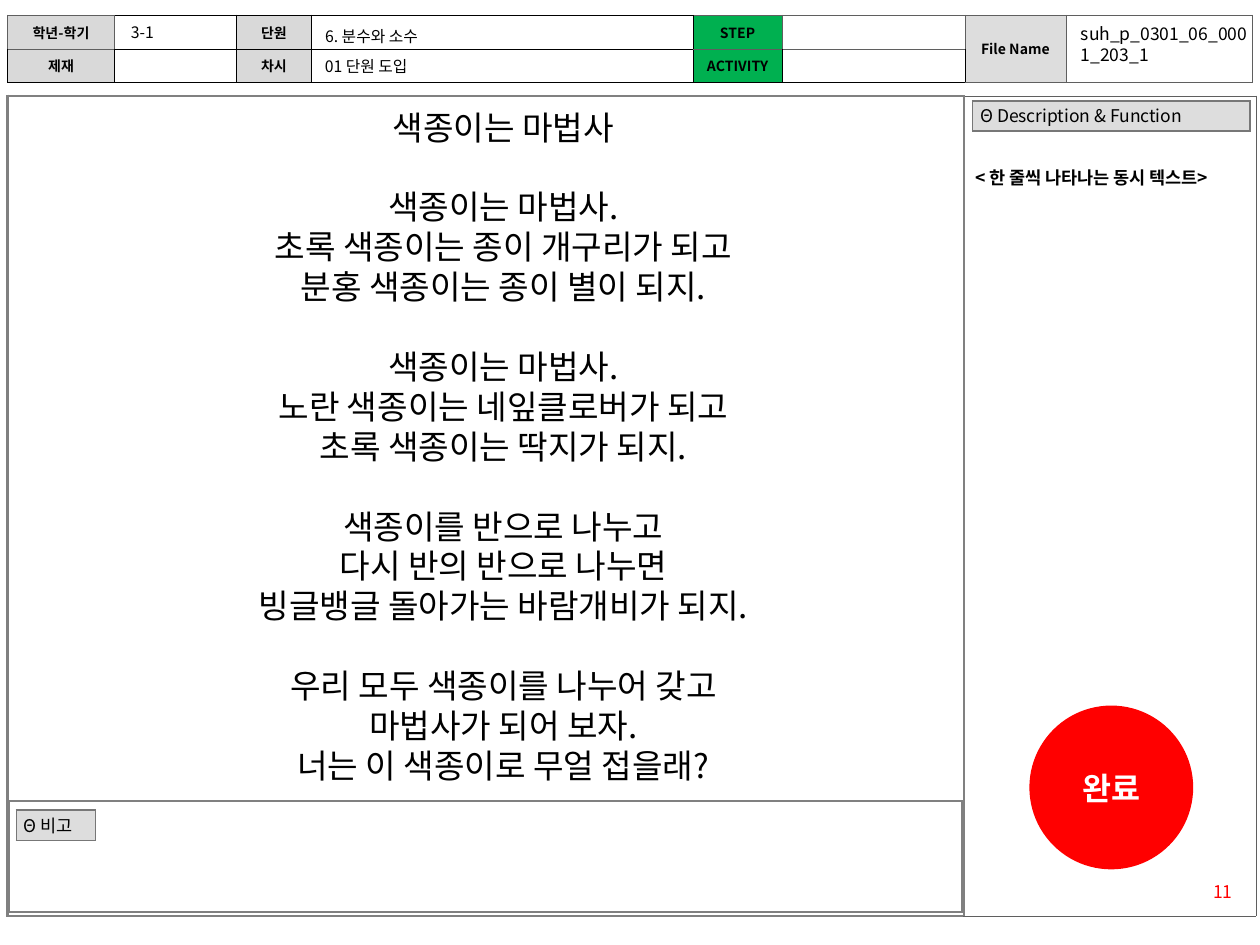
from dataclasses import dataclass

from lxml.etree import SubElement
from pptx import Presentation
from pptx.dml.color import RGBColor
from pptx.enum.shapes import MSO_SHAPE as Shape
from pptx.enum.text import MSO_ANCHOR as Anchor, MSO_AUTO_SIZE as AutoSize, PP_ALIGN as Align
from pptx.oxml.ns import qn
from pptx.util import Inches, Pt

FONT = "Noto Sans CJK KR"
BLACK = RGBColor(0, 0, 0)
WHITE = RGBColor(255, 255, 255)
RED = RGBColor(255, 0, 0)
GREEN = RGBColor(0x00, 0xB0, 0x50)
LABEL_GRAY = RGBColor(0xD9, 0xD9, 0xD9)
PANEL_GRAY = RGBColor(0xDD, 0xDD, 0xDD)
FRAME_GRAY = RGBColor(0x80, 0x80, 0x80)
TAG_GRAY = RGBColor(0x77, 0x77, 0x77)
LINE_GRAY = RGBColor(0x5F, 0x5F, 0x5F)
SIDES = {"l": "a:lnL", "r": "a:lnR", "t": "a:lnT", "b": "a:lnB"}


@dataclass
class Line:
    color: RGBColor
    points: float


THIN = Line(LINE_GRAY, 0.25)
DARK = Line(BLACK, 0.5)
FRAME = Line(FRAME_GRAY, 1.5)
TAG = Line(TAG_GRAY, 1)


@dataclass
class Cell:
    text: str = ""
    fill: RGBColor | None = None
    thin: str = ""  # sides drawn with the thin line instead of the table's own


@dataclass
class Grid:
    left: float
    top: float
    columns: list[float]
    rows: list[float]
    cells: list[list[Cell]]
    line: Line
    size: float = 8
    bold: bool = False
    align: Align = Align.LEFT
    margins: tuple[float, float] = (0.1, 0.05)
    spacing: float = 1.0


@dataclass
class Note:
    text: str
    left: float
    top: float
    width: float
    height: float
    size: float = 9
    bold: bool = False
    color: RGBColor = BLACK
    align: Align = Align.LEFT


def write(para, text: str, size: float, bold: bool = False,
          color: RGBColor = BLACK, align: Align = Align.LEFT) -> None:
    para.alignment = align
    span = para.add_run()
    span.text = text
    for name, value in {"size": Pt(size), "bold": bold, "name": FONT}.items():
        setattr(span.font, name, value)
    span.font.color.rgb = color
    SubElement(span.font._element, qn("a:ea"), typeface=FONT)


def add_border(properties, side: str, line: Line) -> None:
    border = SubElement(properties, qn(SIDES[side]), w=str(Pt(line.points)))
    fill = SubElement(border, qn("a:solidFill"))
    SubElement(fill, qn("a:srgbClr"), val=str(line.color))


def fill_cell(cell, content: Cell, grid: Grid) -> None:
    across, down = (Inches(margin) for margin in grid.margins)
    layout = {"margin_left": across, "margin_right": across, "margin_top": down,
              "margin_bottom": down, "vertical_anchor": Anchor.MIDDLE}
    for name, value in layout.items():
        setattr(cell, name, value)
    para = cell.text_frame.paragraphs[0]
    if content.text:
        para.line_spacing = grid.spacing
        write(para, content.text, grid.size, grid.bold, align=grid.align)
    else:
        SubElement(para._p, qn("a:endParaRPr"), sz=str(int(grid.size * 100)))
    properties = cell._tc.get_or_add_tcPr()
    for side in SIDES:
        add_border(properties, side, THIN if side in content.thin else grid.line)
    if content.fill is None:
        cell.fill.background()
    else:
        cell.fill.solid()
        cell.fill.fore_color.rgb = content.fill


def add_grid(page, grid: Grid):
    table = page.shapes.add_table(
        len(grid.rows), len(grid.columns), Inches(grid.left), Inches(grid.top),
        Inches(sum(grid.columns)), Inches(sum(grid.rows))).table
    table.first_row = table.horz_banding = False
    for column, width in zip(table.columns, grid.columns):
        column.width = Inches(width)
    for row, height in zip(table.rows, grid.rows):
        row.height = Inches(height)
    for row, contents in enumerate(grid.cells):
        for column, content in enumerate(contents):
            fill_cell(table.cell(row, column), content, grid)
    return table


def fill_note(box, note: Note) -> None:
    for name in ("left", "top", "width", "height"):
        setattr(box, name, Inches(getattr(note, name)))
    frame = box.text_frame
    frame.word_wrap = True
    frame.auto_size = AutoSize.NONE
    frame.vertical_anchor = Anchor.TOP
    write(frame.paragraphs[0], note.text, note.size, note.bold, note.color, note.align)


def add_filled_shape(page, kind: Shape, left: float, top: float, width: float,
                     height: float, color: RGBColor, anchor: Anchor):
    shape = page.shapes.add_shape(kind, Inches(left), Inches(top), Inches(width), Inches(height))
    shape.shadow.inherit = False
    shape.fill.solid()
    shape.fill.fore_color.rgb = color
    shape.line.fill.background()
    shape.text_frame.word_wrap = True
    shape.text_frame.vertical_anchor = anchor
    return shape


def tag(text: str, left: float, top: float, width: float, height: float) -> Grid:
    return Grid(left, top, [width], [height], [[Cell(text, PANEL_GRAY)]], TAG,
                size=10, margins=(0.06, 0.03), spacing=0.9)


HEADER = Grid(
    0.06, 0.12, [0.85, 0.97, 0.59, 3.03, 0.71, 1.45, 0.8, 1.48], [0.27, 0.25],
    [[Cell("학년-학기", LABEL_GRAY, "lrtb"), Cell(thin="l"), Cell("단원", LABEL_GRAY), Cell(),
      Cell("STEP", GREEN, "trb"), Cell(thin="lrtb"),
      Cell("File Name", PANEL_GRAY, "lrtb"), Cell(thin="lrtb")],
     [Cell("제재", LABEL_GRAY, "t"), Cell(), Cell("차시", LABEL_GRAY), Cell(),
      Cell("ACTIVITY", GREEN, "t"), Cell(thin="t"), Cell(thin="lrtb"), Cell(thin="lrtb")]],
    DARK, bold=True, align=Align.CENTER)
FRAMES = [
    Grid(0.06, 0.76, [7.59, 2.32], [6.51], [[Cell(), Cell(thin="trb")]], FRAME),
    Grid(0.07, 6.36, [7.57], [0.88], [[Cell()]], FRAME),
    tag("Θ 비고", 0.13, 6.43, 0.63, 0.2),
    tag("Θ Description & Function", 7.72, 0.8, 2.2, 0.21),
]
UNIT = Note("6. 분수와 소수", 2.48, 0.16, 3.03, 0.24)
NOTES = [
    Note("11", 9.21, 6.94, 0.67, 0.27, size=10, color=RED, align=Align.RIGHT),
    Note("suh_p_0301_06_0001_203_1", 8.48, 0.13, 1.52, 0.44, size=10, align=Align.JUSTIFY),
    Note("3-1", 0.94, 0.13, 0.94, 0.24),
    Note("01 단원 도입", 2.48, 0.4, 2.99, 0.24),
    Note("< 한 줄씩 나타나는 동시 텍스트>", 7.64, 1.28, 2.36, 0.27, size=10, bold=True),
]
POEM_SIZE = 19
POEM = [
    ["색종이는 마법사"],
    ["색종이는 마법사.", "초록 색종이는 종이 개구리가 되고", "분홍 색종이는 종이 별이 되지."],
    ["색종이는 마법사.", "노란 색종이는 네잎클로버가 되고", "초록 색종이는 딱지가 되지."],
    ["색종이를 반으로 나누고", "다시 반의 반으로 나누면", "빙글뱅글 돌아가는 바람개비가 되지."],
    ["우리 모두 색종이를 나누어 갖고", "마법사가 되어 보자.", "너는 이 색종이로 무얼 접을래?"],
]


def add_poem(page) -> None:
    frame = add_filled_shape(page, Shape.RECTANGLE, 1.01, 0.8, 5.97, 5.54,
                             WHITE, Anchor.TOP).text_frame
    for number, stanza in enumerate(POEM):
        for position, verse in enumerate(stanza):
            first = number == 0 and position == 0
            para = frame.paragraphs[0] if first else frame.add_paragraph()
            if number and position == 0:
                para.space_before = Pt(POEM_SIZE * 1.2)
            write(para, verse, POEM_SIZE, align=Align.CENTER)


def main() -> None:
    deck = Presentation()
    deck.slide_width, deck.slide_height = Inches(10), Inches(7.5)
    page = deck.slides.add_slide(deck.slide_layouts[5])
    fill_note(page.shapes.title, UNIT)
    header = add_grid(page, HEADER)
    for column in (6, 7):
        header.cell(0, column).merge(header.cell(1, column))
    for grid in FRAMES:
        add_grid(page, grid)
    add_poem(page)
    for note in NOTES:
        fill_note(page.shapes.add_textbox(0, 0, 0, 0), note)
    button = add_filled_shape(page, Shape.OVAL, 8.17, 5.6, 1.3, 1.3, RED, Anchor.MIDDLE)
    write(button.text_frame.paragraphs[0], "완료", 18, True, WHITE, Align.CENTER)
    deck.save("out.pptx")


if __name__ == "__main__":
    main()
